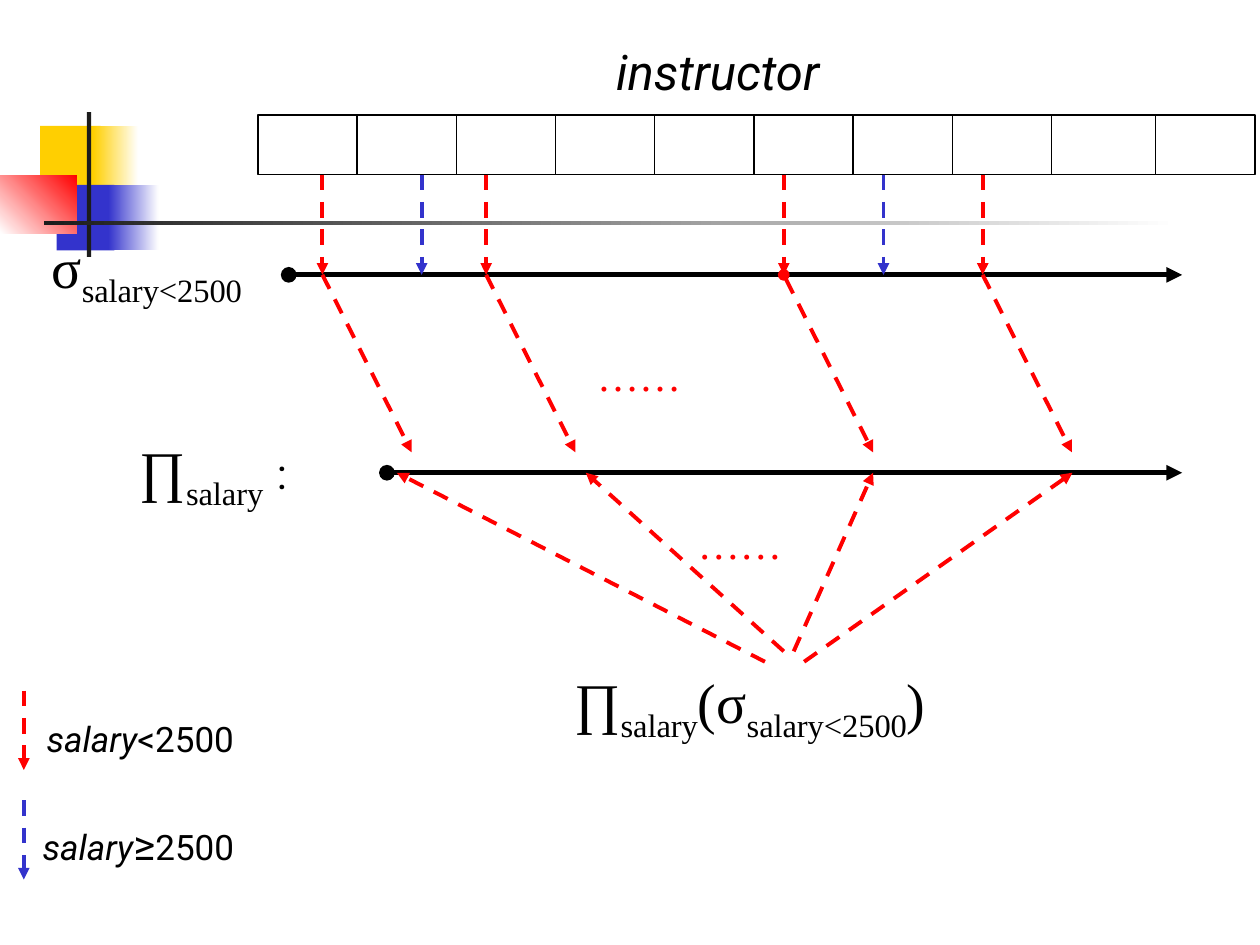
import pptx
import pptx.dml.color
import pptx.enum.dml
import pptx.enum.shapes
import pptx.enum.text
import pptx.oxml.ns
import pptx.util
from lxml import etree

Cm, Pt = pptx.util.Cm, pptx.util.Pt
RED, BLUE, BLACK, WHITE = "FF0000", "3333CC", "000000", "FFFFFF"
YELLOW, CHARCOAL = "FFCF01", "1C1C1C"
SERIF, SANS = "Times New Roman", "Roboto"

# All lengths are in centimetres.
# left, top, width, height, colours (two make a gradient), gradient angle
ORNAMENT = [
    (0.81, 2.54, 1.22, 1.32, [YELLOW], 0),
    (1.88, 2.54, 0.91, 1.32, [YELLOW, WHITE], 0),
    (1.14, 3.73, 1.17, 1.32, [BLUE], 0),
    (2.18, 3.73, 1.02, 1.32, [BLUE, WHITE], 0),
    (0, 3.53, 1.55, 1.17, [WHITE, RED], 45),
    (1.75, 2.26, 0.09, 2.92, [CHARCOAL], 0),
    (0.89, 4.45, 22.86, 0.09, [CHARCOAL, WHITE], 0),
]

CELLS_LEFT, CELLS_TOP, CELL_HEIGHT = 5.2, 2.32, 1.2
CELL_WIDTHS = [2] * 8 + [2.1, 2]

SELECT_Y, PROJECT_Y, TIMELINE_END = 5.54, 9.53, 23.83
TIMELINES = [(5.82, SELECT_Y), (7.8, PROJECT_Y)]
MATCHES = [6.5, 9.8, 15.8, 19.81]
MISSES = [8.5, 17.81]
DOTTED_MATCH = 15.8
PASS_SHIFT, PASS_END = 1.8, 9.12
# start x, start y, end x on the projection line
RESULT_ARROWS = [(15.42, 13.34, 8), (15.8, 13.13, 11.81),
                 (16, 13.13, 17.6), (16.21, 13.34, 21.62)]
LEGEND_X, LEGEND_LENGTH = 0.48, 1.6
LEGEND = [(13.92, RED), (16.13, BLUE)]

# box, font, size, colour, wrap, runs of (text, style)
# styles: "" plain, "i" italic, "sub" subscript, a number for another size
LABELS = [
    ((11.79, 6.93, 4.06, 1.27), SERIF, 24, RED, True, [("……", "")]),
    ((13.82, 10.31, 2.79, 1.27), SERIF, 24, RED, True, [("……", "")]),
    ((5.33, 8.89, 0.74, 1.27), SANS, 24, BLACK, False, [(":", "")]),
    ((12.17, 0.71, 4.78, 1.45), SANS, 28, BLACK, False, [("instructor", "i")]),
    ((0.69, 14.33, 4.42, 1.12), SANS, 20, BLACK, False,
     [("salary", "i"), ("<2500", "")]),
    ((0.61, 16.38, 4.93, 1.27), SANS, 20, BLACK, False,
     [("salary", "i"), ("≥", 24), ("2500", "")]),
    ((2.57, 8.66, 3, 1.8), SERIF, 32, BLACK, False,
     [("∏", ""), ("salary", "sub")]),
    ((0.79, 4.57, 4.34, 1.8), SERIF, 32, BLACK, False,
     [("σ", ""), ("salary<2500", "sub")]),
    ((11.33, 13.34, 9.02, 1.8), SERIF, 32, BLACK, True,
     [("∏", ""), ("salary", "sub"), ("(σ", ""),
      ("salary<2500", "sub"), (")", "")]),
]


def rgb(value):
    return pptx.dml.color.RGBColor.from_string(value)


def add_rectangle(shapes, box):
    rectangle = shapes.add_shape(
        pptx.enum.shapes.MSO_SHAPE.RECTANGLE, *map(Cm, box))
    rectangle.shadow.inherit = False
    return rectangle


def add_ornament(shapes, box, colours, angle):
    block = add_rectangle(shapes, box)
    block.line.fill.background()
    if len(colours) == 1:
        block.fill.solid()
        block.fill.fore_color.rgb = rgb(colours[0])
        return
    block.fill.gradient()
    block.fill.gradient_angle = angle
    for stop, colour in zip(block.fill.gradient_stops, colours):
        stop.color.rgb = rgb(colour)


def add_arrow(shapes, start, end, colour, width=2.25, dashed=True, dot=False):
    """Draw a line with a triangle at its end and, if dot, a disc at its start."""
    arrow = shapes.add_connector(
        pptx.enum.shapes.MSO_CONNECTOR.STRAIGHT, *map(Cm, (*start, *end)))
    arrow.line.color.rgb = rgb(colour)
    arrow.line.width = Pt(width)
    if dashed:
        arrow.line.dash_style = pptx.enum.dml.MSO_LINE.DASH
    qn = pptx.oxml.ns.qn
    outline = arrow.line._get_or_add_ln()
    if dot:
        etree.SubElement(outline, qn("a:headEnd"), type="oval")
    etree.SubElement(outline, qn("a:tailEnd"), type="triangle")
    etree.SubElement(arrow._element.spPr, qn("a:effectLst"))


def add_label(shapes, box, font, size, colour, wrap, runs):
    frame = shapes.add_textbox(*map(Cm, box)).text_frame
    frame.word_wrap = wrap
    frame.auto_size = pptx.enum.text.MSO_AUTO_SIZE.SHAPE_TO_FIT_TEXT
    paragraph = frame.paragraphs[0]
    paragraph.font.name = font
    paragraph.font.size = Pt(size)
    paragraph.font.color.rgb = rgb(colour)
    for text, style in runs:
        run = paragraph.add_run()
        run.text = text
        if style == "i":
            run.font.italic = True
        elif style == "sub":
            run._r.get_or_add_rPr().set("baseline", "-25000")
        elif style:
            run.font.size = Pt(style)


def main():
    deck = pptx.Presentation()
    deck.slide_width, deck.slide_height = Cm(25.4), Cm(19.05)
    shapes = deck.slides.add_slide(deck.slide_layouts[6]).shapes

    for *box, colours, angle in ORNAMENT:
        add_ornament(shapes, box, colours, angle)

    for left, y in TIMELINES:
        add_arrow(shapes, (left, y), (TIMELINE_END, y), BLACK,
                  width=3, dashed=False, dot=True)

    tuples = shapes.add_group_shape().shapes
    for index, width in enumerate(CELL_WIDTHS):
        left = CELLS_LEFT + sum(CELL_WIDTHS[:index])
        cell = add_rectangle(tuples, (left, CELLS_TOP, width, CELL_HEIGHT))
        cell.fill.background()
        cell.line.color.rgb = rgb(BLACK)
        cell.line.width = Pt(0.75)

    cells_bottom = CELLS_TOP + CELL_HEIGHT
    for xs, colour in ((MATCHES, RED), (MISSES, BLUE)):
        for x in xs:
            add_arrow(shapes, (x, cells_bottom), (x, SELECT_Y), colour)
    for x in MATCHES:
        add_arrow(shapes, (x, SELECT_Y), (x + PASS_SHIFT, PASS_END), RED,
                  dot=x == DOTTED_MATCH)
    for x, y, end_x in RESULT_ARROWS:
        add_arrow(shapes, (x, y), (end_x, PROJECT_Y), RED)
    for top, colour in LEGEND:
        add_arrow(shapes, (LEGEND_X, top), (LEGEND_X, top + LEGEND_LENGTH), colour)

    for label in LABELS:
        add_label(shapes, *label)

    deck.save("out.pptx")


if __name__ == "__main__":
    main()
